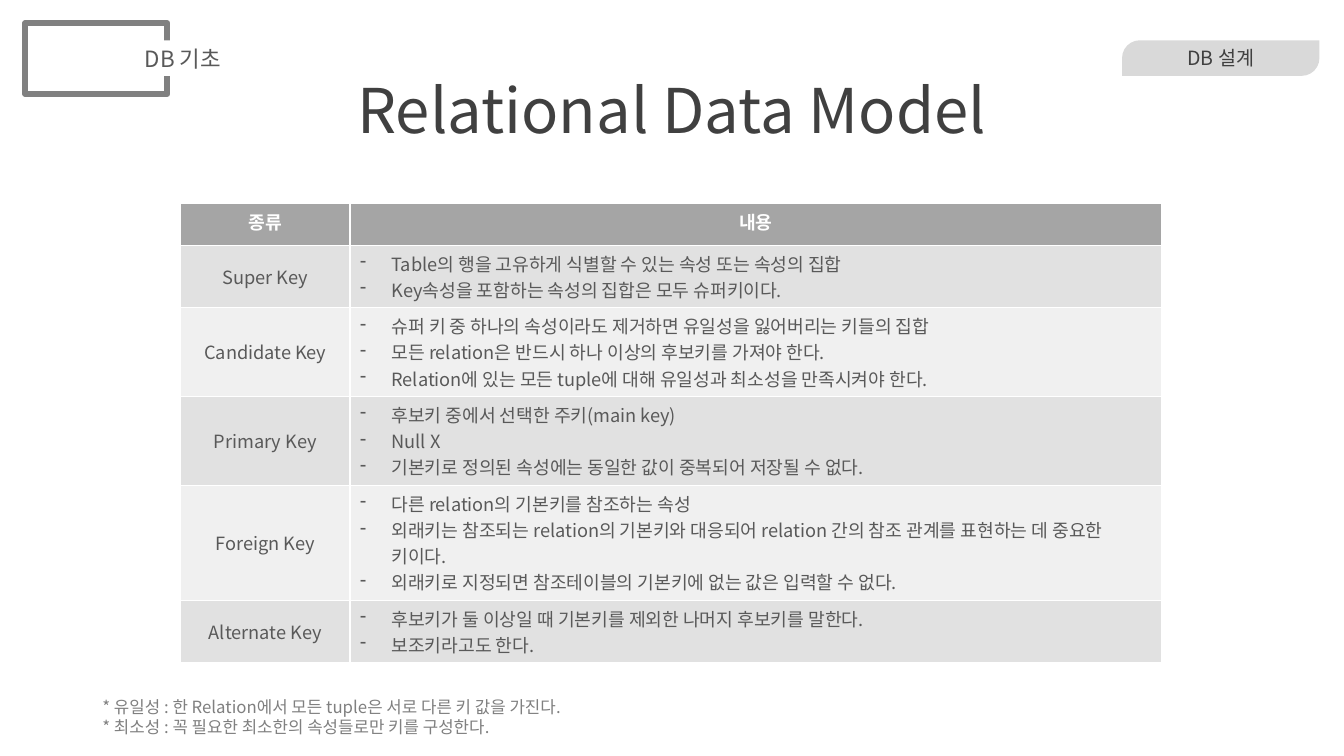
from lxml import etree
from pptx import Presentation
from pptx import util as u
from pptx.dml import color
from pptx.enum import shapes, text
from pptx.oxml import ns

Pt = u.Pt
FONT = "Noto Sans CJK KR"
COLORS = {
    "white": "FFFFFF", "dark": "404040", "body": "595959", "gray": "808080",
    "tag": "D9D9D9", "header": "A5A5A5", "odd": "E1E1E1", "even": "F0F0F0",
}


def rgb(name):
    return color.RGBColor.from_string(COLORS[name])


def write(frame, lines, size, ink, align="CENTER", bold=False, dash=False,
          spacing=None):
    """Fill a text frame, one paragraph per line."""
    for i, line in enumerate(lines):
        para = frame.add_paragraph() if i else frame.paragraphs[0]
        para.alignment = text.PP_ALIGN[align]
        if spacing:
            para.line_spacing = spacing
        if dash:
            props = para._p.get_or_add_pPr()
            props.set("marL", str(Pt(22.5)))
            props.set("indent", str(-Pt(22.5)))
            etree.SubElement(props, ns.qn("a:buChar")).set("char", "-")
        run = para.add_run()
        run.text = line
        run.font.size = Pt(size)
        run.font.bold = bold
        run.font.name = FONT
        run.font.color.rgb = rgb(ink)
        east_asian = etree.SubElement(run._r.get_or_add_rPr(), ns.qn("a:ea"))
        east_asian.set("typeface", FONT)


deck = Presentation()
deck.slide_width, deck.slide_height = Pt(960), Pt(540)
slide = deck.slides.add_slide(deck.slide_layouts[5])

# Title
title = slide.shapes.title
title.left, title.top, title.width, title.height = Pt(66), Pt(28.75), Pt(828), Pt(104.4)
title.text_frame.vertical_anchor = text.MSO_ANCHOR.MIDDLE
write(title.text_frame, ["Relational Data Model"], 44, "dark", spacing=0.9)

# Topic tag, and the chapter label over its frame
labels = [
    ("ROUND_2_DIAG_RECTANGLE", (801.5, 28.8, 141, 25.4), "tag", None, "DB 설계", 14, "dark"),
    ("RECTANGLE", (18, 16.6, 101.5, 50.4), "white", "gray", "", 0, None),
    ("RECTANGLE", (38.9, 28.8, 183.6, 25.4), "white", None, "DB 기초", 16, "body"),
]
for preset, place, fill, outline, words, size, ink in labels:
    label = slide.shapes.add_shape(shapes.MSO_SHAPE[preset], *map(Pt, place))
    label.shadow.inherit = False
    label.fill.solid()
    label.fill.fore_color.rgb = rgb(fill)
    if outline:
        label.line.color.rgb = rgb(outline)
        label.line.width = Pt(4.5)
    else:
        label.line.fill.background()
    if preset != "RECTANGLE":
        label.adjustments[0], label.adjustments[1] = 0.5, 0
    if words:
        write(label.text_frame, [words], size, ink)

# Table of key types; its style supplies the white rules
keys = [
    ("Super Key", 44, [
        "Table의 행을 고유하게 식별할 수 있는 속성 또는 속성의 집합",
        "Key속성을 포함하는 속성의 집합은 모두 슈퍼키이다."]),
    ("Candidate Key", 63.5, [
        "슈퍼 키 중 하나의 속성이라도 제거하면 유일성을 잃어버리는 키들의 집합",
        "모든 relation은 반드시 하나 이상의 후보키를 가져야 한다.",
        "Relation에 있는 모든 tuple에 대해 유일성과 최소성을 만족시켜야 한다."]),
    ("Primary Key", 63.5, [
        "후보키 중에서 선택한 주키(main key)",
        "Null X",
        "기본키로 정의된 속성에는 동일한 값이 중복되어 저장될 수 없다."]),
    ("Foreign Key", 82, [
        "다른 relation의 기본키를 참조하는 속성",
        "외래키는 참조되는 relation의 기본키와 대응되어 relation 간의 참조 관계를 "
        "표현하는 데 중요한 키이다.",
        "외래키로 지정되면 참조테이블의 기본키에 없는 값은 입력할 수 없다."]),
    ("Alternate Key", 44, [
        "후보키가 둘 이상일 때 기본키를 제외한 나머지 후보키를 말한다.",
        "보조키라고도 한다."]),
]
rows = [("종류", 29.5, ["내용"])] + keys
height = sum(row[1] for row in rows)
key_table = slide.shapes.add_table(
    len(rows), 2, Pt(129), Pt(145.6), Pt(701), Pt(height)).table
key_table.columns[0].width, key_table.columns[1].width = Pt(121), Pt(580)
for r, (key, row_height, details) in enumerate(rows):
    key_table.rows[r].height = Pt(row_height)
    key_cell, detail_cell = key_table.cell(r, 0), key_table.cell(r, 1)
    fill = "odd" if r % 2 else "even"
    for cell in (key_cell, detail_cell):
        cell.fill.solid()
        cell.fill.fore_color.rgb = rgb(fill if r else "header")
    if r:
        key_cell.vertical_anchor = text.MSO_ANCHOR.MIDDLE
        write(key_cell.text_frame, [key], 13, "body")
        write(detail_cell.text_frame, details, 13, "body", align="LEFT", dash=True)
    else:
        write(key_cell.text_frame, [key], 13, "white", bold=True)
        write(detail_cell.text_frame, details, 13, "white", bold=True)

# Footnotes
notes = slide.shapes.add_textbox(Pt(66), Pt(494), Pt(375), Pt(36)).text_frame
notes.word_wrap = False
notes.auto_size = text.MSO_AUTO_SIZE.SHAPE_TO_FIT_TEXT
write(notes, ["* 유일성 : 한 Relation에서 모든 tuple은 서로 다른 키 값을 가진다.",
              "* 최소성 : 꼭 필요한 최소한의 속성들로만 키를 구성한다."],
      12, "gray", align="LEFT")

deck.save("out.pptx")
